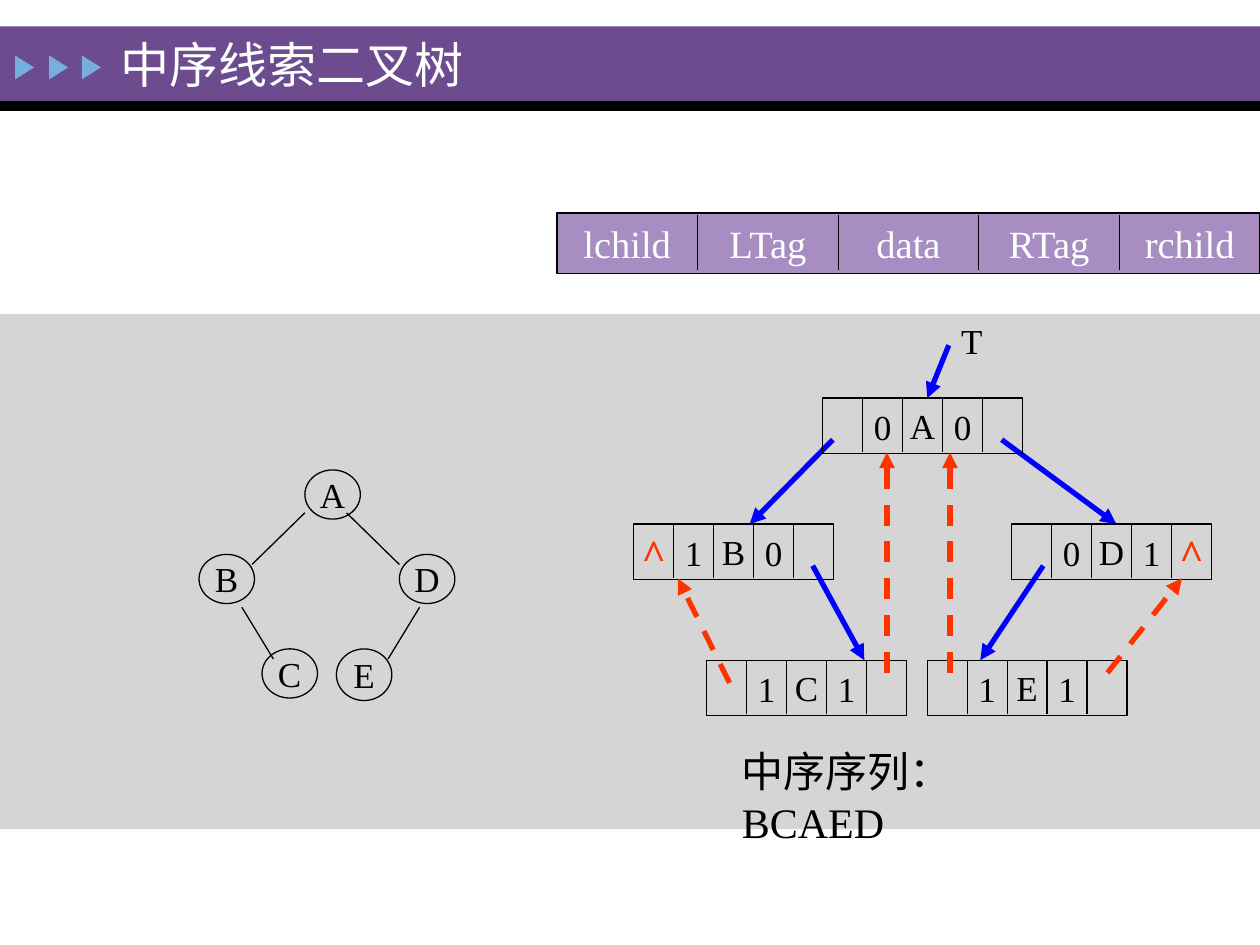
import pptx
import pptx.dml.color
import pptx.enum.dml
import pptx.enum.shapes
import pptx.enum.text
import pptx.oxml.ns
import pptx.util
from lxml import etree

Inches = pptx.util.Inches
RGBColor = pptx.dml.color.RGBColor
SHAPE = pptx.enum.shapes.MSO_SHAPE
ALIGN = pptx.enum.text.PP_ALIGN
ANCHOR = pptx.enum.text.MSO_ANCHOR
qn = pptx.oxml.ns.qn

WHITE = RGBColor(0xFE, 0xFF, 0xFF)
BLACK = RGBColor(0, 0, 0)
PURPLE = RGBColor(0x6C, 0x4C, 0x8F)
LILAC = RGBColor(0xA7, 0x8D, 0xC2)
SKY = RGBColor(0x76, 0xAE, 0xDD)
GREY = RGBColor(0xD5, 0xD5, 0xD5)
BLUE = RGBColor(0, 0, 0xFF)
RED = RGBColor(0xFF, 0x33, 0)

CELL_WIDTH, NODE_HEIGHT = 0.317, 0.44
FIELDS = ["lchild", "LTag", "data", "RTag", "rchild"]

# Letter: left, top, height of the circle
CIRCLES = {
    "A": (2.42, 3.73, 0.39),
    "B": (1.58, 4.4, 0.39),
    "C": (2.08, 5.15, 0.39),
    "D": (3.17, 4.4, 0.39),
    "E": (2.67, 5.15, 0.41),
}
BRANCHES = [
    ((2.42, 4.07), (2, 4.48)),
    ((2.75, 4.07), (3.17, 4.48)),
    ((1.92, 4.82), (2.17, 5.23)),
    ((3.33, 4.82), (3.08, 5.23)),
]
# Left, top, contents of the five cells
NODES = [
    (6.53, 3.16, " 0A0 "),
    (5.03, 4.16, "^1B0 "),
    (8.03, 4.16, " 0D1^"),
    (5.61, 5.24, " 1C1 "),
    (7.36, 5.24, " 1E1 "),
]
CHILD_LINKS = [
    ((6.61, 3.49), (5.95, 4.16)),
    ((7.95, 3.49), (8.86, 4.16)),
    ((6.45, 4.49), (6.86, 5.24)),
    ((8.28, 4.49), (7.78, 5.24)),
    ((7.53, 2.74), (7.36, 3.16)),
]
THREADS = [
    ((5.79, 5.42), (5.38, 4.59)),
    ((7.04, 5.34), (7.04, 3.59)),
    ((7.54, 5.34), (7.54, 3.59)),
    ((8.79, 5.34), (9.38, 4.59)),
]


def write_text(shape, text, size=20, color=BLACK, bold=False,
               align=ALIGN.CENTER, anchor=ANCHOR.MIDDLE, wrap=False):
    frame = shape.text_frame
    frame.word_wrap = wrap
    frame.vertical_anchor = anchor
    paragraph = frame.paragraphs[0]
    paragraph.alignment = align
    run = paragraph.add_run()
    run.text = text
    run.font.name = "Times New Roman"
    run.font.size = pptx.util.Pt(size)
    run.font.bold = bold
    run.font.color.rgb = color


def add_label(slide, text, left, top, width, height, **text_format):
    box = slide.shapes.add_textbox(Inches(left), Inches(top), Inches(width), Inches(height))
    write_text(box, text, **text_format)
    return box


def add_figure(slide, kind, left, top, width, height, fill=None, outline=None):
    shape = slide.shapes.add_shape(
        kind, Inches(left), Inches(top), Inches(width), Inches(height))
    shape.shadow.inherit = False
    if fill is None:
        shape.fill.background()
    else:
        shape.fill.solid()
        shape.fill.fore_color.rgb = fill
    if outline is None:
        shape.line.fill.background()
    else:
        shape.line.color.rgb = outline
        shape.line.width = pptx.util.Pt(0.75)
    return shape


def add_line(slide, start, end, color=BLACK, width=0.75, dashed=False, arrow=False):
    connector = slide.shapes.add_connector(
        pptx.enum.shapes.MSO_CONNECTOR.STRAIGHT,
        Inches(start[0]), Inches(start[1]), Inches(end[0]), Inches(end[1]))
    connector.line.color.rgb = color
    connector.line.width = pptx.util.Pt(width)
    if dashed:
        connector.line.dash_style = pptx.enum.dml.MSO_LINE.DASH
    properties = connector._element.spPr
    if arrow:
        etree.SubElement(properties.find(qn("a:ln")), qn("a:tailEnd"), type="triangle")
    etree.SubElement(properties, qn("a:effectLst"))


def add_dividers(slide, left, top, cell_width, height):
    """Draw the four lines that split a box into five cells."""
    for index in range(1, 5):
        x = left + index * cell_width
        add_line(slide, (x, top), (x, top + height))


def add_title_bar(slide):
    add_figure(slide, SHAPE.RECTANGLE, 0, 0.21, 10, 0.59, fill=PURPLE)
    add_figure(slide, SHAPE.RECTANGLE, 0, 0.8, 10, 0.08, fill=BLACK)
    for left in (0.1, 0.37, 0.63):
        marker = add_figure(slide, SHAPE.ISOSCELES_TRIANGLE, left, 0.46, 0.19, 0.15, fill=SKY)
        marker.rotation = 90
    add_label(slide, "中序线索二叉树", 0.86, 0.23, 4.59, 0.56,
              size=28, color=WHITE, align=ALIGN.LEFT, wrap=True)


def add_field_bar(slide):
    """Draw the node layout, with each field name on a centred tab stop."""
    left, top, width, height = 4.42, 1.69, 5.58, 0.48
    cell_width = width / len(FIELDS)
    bar = add_figure(slide, SHAPE.RECTANGLE, left, top, width, height, LILAC, BLACK)
    write_text(bar, "".join("\t" + field for field in FIELDS),
               size=22, color=WHITE, align=ALIGN.LEFT, wrap=True)
    bar.text_frame.margin_left = bar.text_frame.margin_right = 0
    properties = bar.text_frame.paragraphs[0]._p.get_or_add_pPr()
    tab_list = etree.SubElement(properties, qn("a:tabLst"))
    for index in range(len(FIELDS)):
        position = Inches((index + 0.5) * cell_width)
        etree.SubElement(tab_list, qn("a:tab"), pos=str(int(position)), algn="ctr")
    add_dividers(slide, left, top + 0.02, cell_width, 0.43)


def add_binary_tree(slide):
    for letter, (left, top, height) in CIRCLES.items():
        circle = add_figure(slide, SHAPE.OVAL, left, top, 0.44, height, outline=BLACK)
        write_text(circle, letter)
    for start, end in BRANCHES:
        add_line(slide, start, end)


def add_node(slide, left, top, cells):
    box = add_figure(slide, SHAPE.RECTANGLE, left, top, 5 * CELL_WIDTH, NODE_HEIGHT,
                     outline=BLACK)
    write_text(box, cells[2])
    add_dividers(slide, left, top, CELL_WIDTH, 0.43)
    for index in (0, 1, 3, 4):
        center = left + (index + 0.5) * CELL_WIDTH
        if cells[index] == "^":
            add_label(slide, "^", center - 0.2, top - 0.02, 0.4, 0.5,
                      size=24, color=RED, bold=True)
        elif cells[index] != " ":
            add_label(slide, cells[index], center - 0.17, top + 0.01, 0.34, 0.43)


def add_threaded_tree(slide):
    for start, end in CHILD_LINKS:
        add_line(slide, start, end, color=BLUE, width=3, arrow=True)
    for node in NODES:
        add_node(slide, *node)
    for start, end in THREADS:
        add_line(slide, start, end, color=RED, width=3, dashed=True, arrow=True)
    add_label(slide, "T", 7.53, 2.49, 0.37, 0.43, align=ALIGN.LEFT, anchor=ANCHOR.TOP)
    sequence = add_label(slide, "中序序列：BCAED", 5.79, 5.87, 3.06, 0.51, size=24,
                         align=ALIGN.LEFT, anchor=ANCHOR.TOP, wrap=True)
    sequence.text_frame.margin_right = Inches(1)


def main():
    presentation = pptx.Presentation()
    presentation.slide_width = Inches(10)
    presentation.slide_height = Inches(7.5)
    slide = presentation.slides.add_slide(presentation.slide_layouts[6])
    slide.background.fill.solid()
    slide.background.fill.fore_color.rgb = WHITE
    add_title_bar(slide)
    add_figure(slide, SHAPE.RECTANGLE, 0, 2.49, 10, 4.09, fill=GREY)
    add_binary_tree(slide)
    add_threaded_tree(slide)
    add_field_bar(slide)
    presentation.save("out.pptx")


if __name__ == "__main__":
    main()
